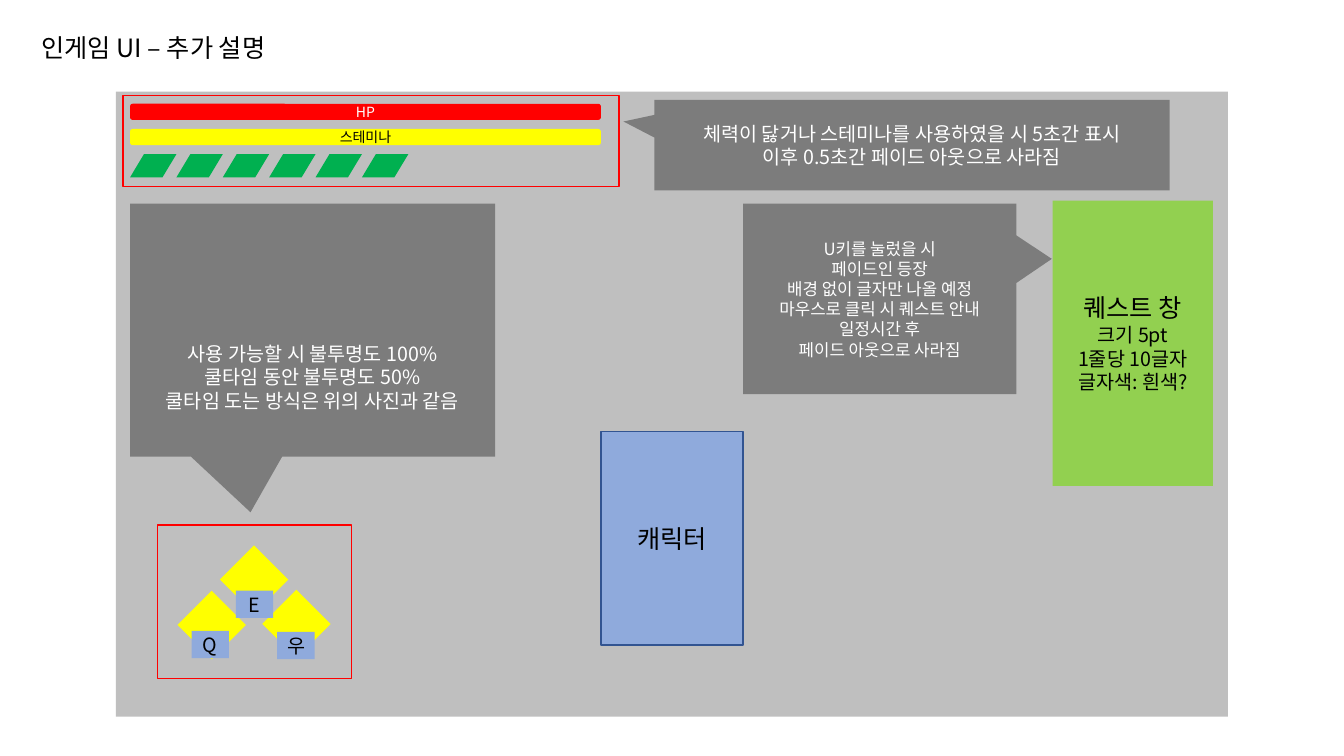
from lxml.etree import SubElement
from pptx import Presentation
from pptx.dml.color import RGBColor
from pptx.enum.shapes import MSO_SHAPE as Shape
from pptx.enum.text import MSO_ANCHOR as Anchor, MSO_AUTO_SIZE as AutoSize, PP_ALIGN as Align
from pptx.oxml.ns import qn
from pptx.util import Inches, Pt

BLACK = RGBColor(0x00, 0x00, 0x00)
WHITE = RGBColor(0xFF, 0xFF, 0xFF)
SCREEN = RGBColor(0xBF, 0xBF, 0xBF)
NOTE = RGBColor(0x7C, 0x7C, 0x7C)
RED = RGBColor(0xFF, 0x00, 0x00)
YELLOW = RGBColor(0xFF, 0xFF, 0x00)
GREEN = RGBColor(0x00, 0xB0, 0x50)
LIME = RGBColor(0x92, 0xD0, 0x50)
BLUE = RGBColor(0x8F, 0xAA, 0xDC)
NAVY = RGBColor(0x32, 0x54, 0x91)


class GameScreen:
    """Draws the parts of the in-game UI on one slide in a shared style."""

    font = "Noto Sans CJK KR"

    def __init__(self, page):
        self.page = page

    def fill_text(self, box, lines, sizes, color, align=Align.CENTER):
        frame = box.text_frame
        frame.text = "\n".join(lines)
        for para, size in zip(frame.paragraphs, sizes):
            para.alignment = align
            font = para.font
            font.size, font.name = Pt(size), self.font
            font.color.rgb = color
            defaults = para._p.pPr.find(qn("a:defRPr"))
            SubElement(defaults, qn("a:ea"), typeface=self.font)

    def title(self, text, *place):
        box = self.page.shapes.title
        box.left, box.top, box.width, box.height = map(Inches, place)
        self.fill_text(box, [text], [18], BLACK, Align.LEFT)
        frame = box.text_frame
        frame.word_wrap = False
        frame.auto_size = AutoSize.SHAPE_TO_FIT_TEXT
        frame.vertical_anchor = Anchor.TOP

    def shape(self, kind, place, fill=None, line=None, adjust=()):
        box = self.page.shapes.add_shape(kind, *map(Inches, place))
        box.shadow.inherit = False
        if fill is None:
            box.fill.background()
        else:
            box.fill.solid()
            box.fill.fore_color.rgb = fill
        if line is None:
            box.line.fill.background()
        else:
            box.line.color.rgb = line
            box.line.width = Pt(1)
        for index, value in enumerate(adjust):
            box.adjustments[index] = value
        return box

    def label(self, kind, place, fill, lines, sizes, color=BLACK, line=None, adjust=()):
        box = self.shape(kind, place, fill, line, adjust)
        box.text_frame.vertical_anchor = Anchor.MIDDLE
        self.fill_text(box, lines, sizes, color)
        return box

    def callout(self, place, tip, lines, size):
        return self.label(Shape.RECTANGULAR_CALLOUT, place, NOTE, lines,
                          [size] * len(lines), WHITE, adjust=tip)

    def skill(self, key, left, top, key_left, key_top):
        diamond = self.shape(Shape.RECTANGLE, (left, top, 0.48, 0.48), YELLOW)
        diamond.rotation = 45
        self.label(Shape.RECTANGLE, (key_left, key_top, 0.37, 0.27), BLUE, [key], [14])


def main():
    deck = Presentation()
    deck.slide_width, deck.slide_height = Inches(13.33), Inches(7.5)
    screen = GameScreen(deck.slides.add_slide(deck.slide_layouts[5]))

    screen.title("인게임 UI – 추가 설명", 0.31, 0.27, 2.7, 0.4)
    screen.shape(Shape.RECTANGLE, (1.15, 0.91, 11.03, 6.2), SCREEN)
    screen.label(Shape.RECTANGLE, (5.96, 4.28, 1.41, 2.12), BLUE, ["캐릭터"], [18], line=NAVY)

    bars = [("HP", 1.03, RED, WHITE), ("스테미나", 1.28, YELLOW, BLACK)]
    for name, top, fill, color in bars:
        screen.label(Shape.ROUNDED_RECTANGLE, (1.29, top, 4.67, 0.16), fill, [name], [10], color)
    for step in range(6):
        screen.shape(Shape.PARALLELOGRAM, (1.29 + 0.46 * step, 1.53, 0.46, 0.23),
                     GREEN, adjust=[0.6])
    screen.shape(Shape.RECTANGLE, (1.22, 0.95, 4.92, 0.9), line=RED)
    screen.callout((6.49, 0.99, 5.11, 0.9), (-0.56, -0.26), [
        "체력이 닳거나 스테미나를 사용하였을 시 5초간 표시",
        "이후 0.5초간 페이드 아웃으로 사라짐"], 14)

    screen.skill("우", 2.7, 5.95, 2.75, 6.27)
    screen.skill("Q", 1.86, 5.96, 1.9, 6.26)
    screen.skill("E", 2.28, 5.51, 2.34, 5.86)
    screen.shape(Shape.RECTANGLE, (1.56, 5.21, 1.93, 1.52), line=RED)
    cooldown = screen.callout((1.29, 2.02, 3.62, 2.51), (-0.17, 0.72), [
        "사용 가능할 시 불투명도 100%",
        "쿨타임 동안 불투명도 50%",
        "쿨타임 도는 방식은 위의 사진과 같음"], 14)
    cooldown.text_frame.margin_top = Inches(0.98)

    screen.label(Shape.RECTANGLE, (10.44, 1.99, 1.59, 2.83), LIME,
                 ["퀘스트 창", "크기 5pt", "1줄당 10글자", "글자색: 흰색?"], [18, 14, 14, 14])
    screen.callout((7.37, 2.02, 2.71, 1.89), (0.63, -0.21), [
        "U키를 눌렀을 시",
        "페이드인 등장",
        "배경 없이 글자만 나올 예정",
        "마우스로 클릭 시 퀘스트 안내",
        "일정시간 후",
        "페이드 아웃으로 사라짐"], 12)

    deck.save("out.pptx")


if __name__ == "__main__":
    main()
